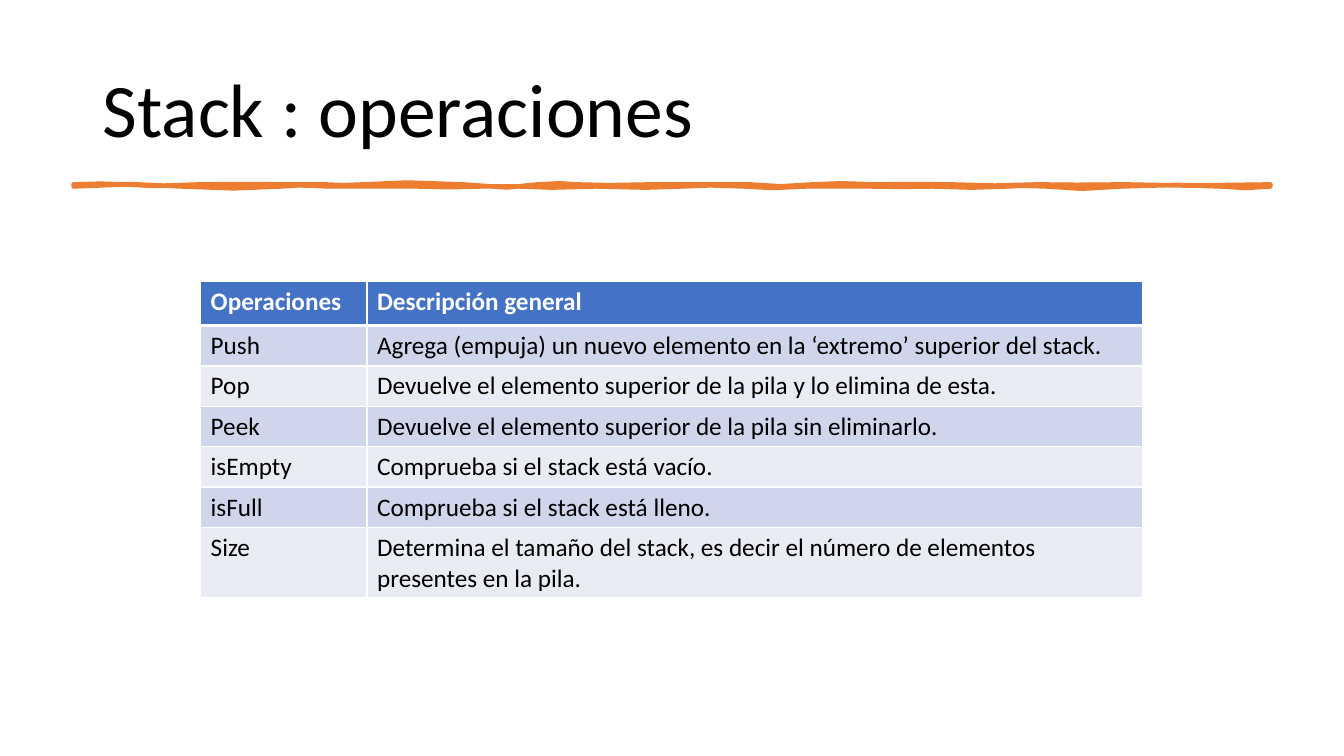
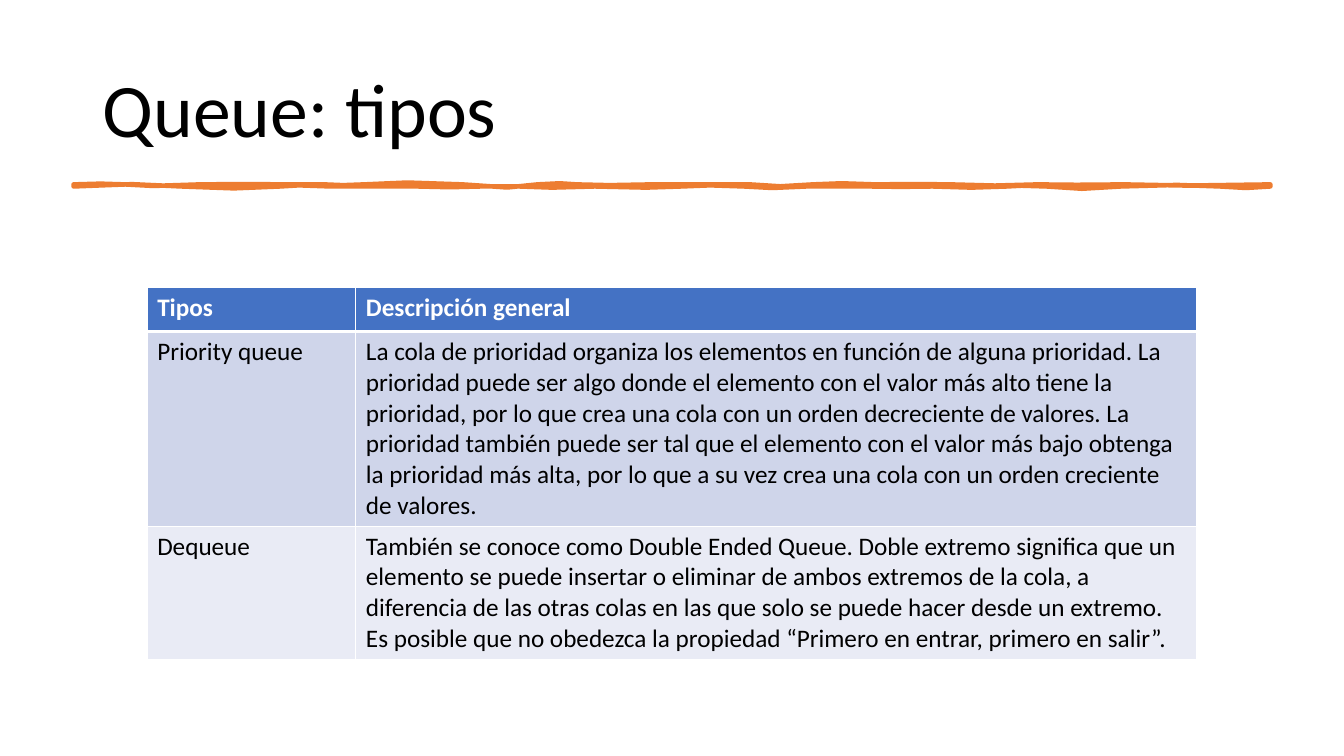
import pptx
import pptx.dml.color
import pptx.enum.text
import pptx.oxml
import pptx.oxml.ns
import pptx.util
from pptx.util import Inches

# Shared style
FONT = "Calibri"
COLORS = {
    "text": "000000",
    "accent": "ED7D31",
    "header": "4472C4",
    "odd": "CFD5EA",
    "even": "E9EBF5",
    "white": "FFFFFF",
}
HEADER_HEIGHT = 0.44

# Content: each row is a height followed by its cells
SLIDES = [
    {
        "title": "Stack : operaciones",
        "corner": (1.99, 2.79),
        "columns": (1.65, 7.69),
        "header": ("Operaciones", "Descripción general"),
        "rows": [
            (0.4, "Push", "Agrega (empuja) un nuevo elemento en la ‘extremo’ superior del stack."),
            (0.4, "Pop", "Devuelve el elemento superior de la pila y lo elimina de esta."),
            (0.4, "Peek", "Devuelve el elemento superior de la pila sin eliminarlo."),
            (0.4, "isEmpty", "Comprueba si el stack está vacío."),
            (0.4, "isFull", "Comprueba si el stack está lleno."),
            (0.7, "Size", "Determina el tamaño del stack, es decir el número de elementos "
                          "presentes en la pila."),
        ],
    },
    {
        "title": "Queue: tipos",
        "corner": (1.46, 2.85),
        "columns": (2.07, 8.34),
        "header": ("Tipos", "Descripción general"),
        "rows": [
            (1.93, "Priority queue",
             "La cola de prioridad organiza los elementos en función de alguna prioridad. "
             "La prioridad puede ser algo donde el elemento con el valor más alto tiene la "
             "prioridad, por lo que crea una cola con un orden decreciente de valores. "
             "La prioridad también puede ser tal que el elemento con el valor más bajo "
             "obtenga la prioridad más alta, por lo que a su vez crea una cola con un orden "
             "creciente de valores."),
            (1.32, "Dequeue",
             "También se conoce como Double Ended Queue. Doble extremo significa que un "
             "elemento se puede insertar o eliminar de ambos extremos de la cola, a "
             "diferencia de las otras colas en las que solo se puede hacer desde un extremo. "
             "Es posible que no obedezca la propiedad “Primero en entrar, primero en salir”."),
        ],
    },
]

# Brush stroke edges: (control x, y, control x, y, end x); ends sit on the edge's level
STROKE_LEFT, STROKE_RIGHT = 0.73, 12.6
STROKE_TOP, STROKE_BOTTOM = 1.83, 1.85
TOP_EDGE = [
    (0.89, 1.81, 1.11, 1.83, 1.24), (1.36, 1.84, 1.62, 1.86, 1.98),
    (2.34, 1.81, 2.51, 1.84, 2.84), (3.17, 1.83, 3.07, 1.83, 3.22),
    (3.38, 1.84, 3.42, 1.84, 3.61), (3.8, 1.82, 4.24, 1.79, 4.59),
    (4.94, 1.88, 5.17, 1.86, 5.33), (5.49, 1.81, 5.63, 1.82, 5.72),
    (5.81, 1.85, 6.25, 1.83, 6.46), (6.67, 1.84, 7.23, 1.82, 7.44),
    (7.65, 1.85, 7.82, 1.86, 8.06), (8.3, 1.81, 8.38, 1.82, 8.68),
    (8.99, 1.85, 9.14, 1.8, 9.43), (9.72, 1.87, 10.02, 1.82, 10.29),
    (10.55, 1.85, 10.78, 1.82, 11.15), (11.51, 1.85, 11.99, 1.84, STROKE_RIGHT),
]
BOTTOM_EDGE = [
    (12.42, 1.87, 12.3, 1.87, 12.1), (11.9, 1.84, 11.49, 1.82, 11.12),
    (10.75, 1.89, 10.7, 1.87, 10.38), (10.05, 1.84, 10.18, 1.84, 9.99),
    (9.8, 1.87, 9.48, 1.86, 9.25), (9.02, 1.85, 8.84, 1.86, 8.63),
    (8.41, 1.85, 8.28, 1.85, 8), (7.73, 1.86, 7.57, 1.88, 7.38),
    (7.19, 1.83, 6.88, 1.84, 6.76), (6.63, 1.87, 6.24, 1.86, 5.9),
    (5.55, 1.85, 5.37, 1.88, 5.15), (4.94, 1.83, 4.91, 1.87, 4.77),
    (4.63, 1.84, 4.3, 1.88, 4.14), (3.99, 1.83, 3.71, 1.87, 3.28),
    (2.86, 1.83, 3.03, 1.84, 2.78), (2.53, 1.87, 2.13, 1.88, 1.8),
    (1.47, 1.82, 1.18, 1.82, STROKE_LEFT),
]


def color(name):
    return pptx.dml.color.RGBColor.from_string(COLORS[name])


def write_text(frame, text, size=18, ink="text", bold=False, line_spacing=None):
    frame.word_wrap = True
    para = frame.paragraphs[0]
    if line_spacing:
        para.line_spacing = line_spacing
    span = para.add_run()
    span.text = text
    span.font.name = FONT
    span.font.size = pptx.util.Pt(size)
    span.font.bold = bold
    span.font.color.rgb = color(ink)


def add_title(page, text):
    box = page.shapes.add_textbox(Inches(0.92), Inches(0.4), Inches(11.5), Inches(1.45))
    box.text_frame.vertical_anchor = pptx.enum.text.MSO_ANCHOR.MIDDLE
    write_text(box.text_frame, text, size=54, line_spacing=0.9)


def trace_edge(start_x, level, curves):
    """Return the ends and midpoints of a chain of cubic curves."""
    points = [(start_x, level)]
    for x1, y1, x2, y2, end_x in curves:
        middle = ((start_x + 3 * x1 + 3 * x2 + end_x) / 8,
                  (2 * level + 3 * y1 + 3 * y2) / 8)
        points += [middle, (end_x, level)]
        start_x = end_x
    return points


def add_brush_stroke(page):
    outline = (trace_edge(STROKE_LEFT, STROKE_TOP, TOP_EDGE)
               + trace_edge(STROKE_RIGHT, STROKE_BOTTOM, BOTTOM_EDGE))
    points = [(Inches(x), Inches(y)) for x, y in outline]
    builder = page.shapes.build_freeform(*points[0])
    builder.add_line_segments(points[1:], close=True)
    stroke = builder.convert_to_shape()
    stroke.shadow.inherit = False
    stroke.fill.solid()
    stroke.fill.fore_color.rgb = color("accent")
    stroke.line.color.rgb = color("accent")
    stroke.line.width = pptx.util.Pt(3.25)


def set_borders(cell, **widths):
    """Draw white borders; widths are points keyed by side."""
    properties = cell._tc.get_or_add_tcPr()
    for index, side in enumerate("LRTB"):
        width = pptx.util.Pt(widths.get(side, 1))
        properties.insert(index, pptx.oxml.parse_xml(
            f'<a:ln{side} {pptx.oxml.ns.nsdecls("a")} w="{width}"><a:solidFill>'
            f'<a:srgbClr val="{COLORS["white"]}"/></a:solidFill></a:ln{side}>'))


def add_table(page, corner, columns, header, rows):
    lines = [(HEADER_HEIGHT, *header), *rows]
    left, top = corner
    table = page.shapes.add_table(
        len(lines), len(columns), Inches(left), Inches(top),
        Inches(sum(columns)), Inches(sum(line[0] for line in lines))).table
    for column, width in zip(table.columns, columns):
        column.width = Inches(width)
    for row, (height, *texts) in enumerate(lines):
        table.rows[row].height = Inches(height)
        is_header = row == 0
        fill = "header" if is_header else ("odd" if row % 2 else "even")
        for column, text in enumerate(texts):
            cell = table.cell(row, column)
            cell.fill.solid()
            cell.fill.fore_color.rgb = color(fill)
            set_borders(cell, T=3 if row == 1 else 1, B=3 if is_header else 1)
            write_text(cell.text_frame, text, bold=is_header,
                       ink="white" if is_header else "text")


def main():
    deck = pptx.Presentation()
    deck.slide_width, deck.slide_height = Inches(13.33), Inches(7.5)
    for content in SLIDES:
        page = deck.slides.add_slide(deck.slide_layouts[6])
        add_title(page, content["title"])
        add_brush_stroke(page)
        add_table(page, content["corner"], content["columns"],
                  content["header"], content["rows"])
    deck.save("out.pptx")


if __name__ == "__main__":
    main()
